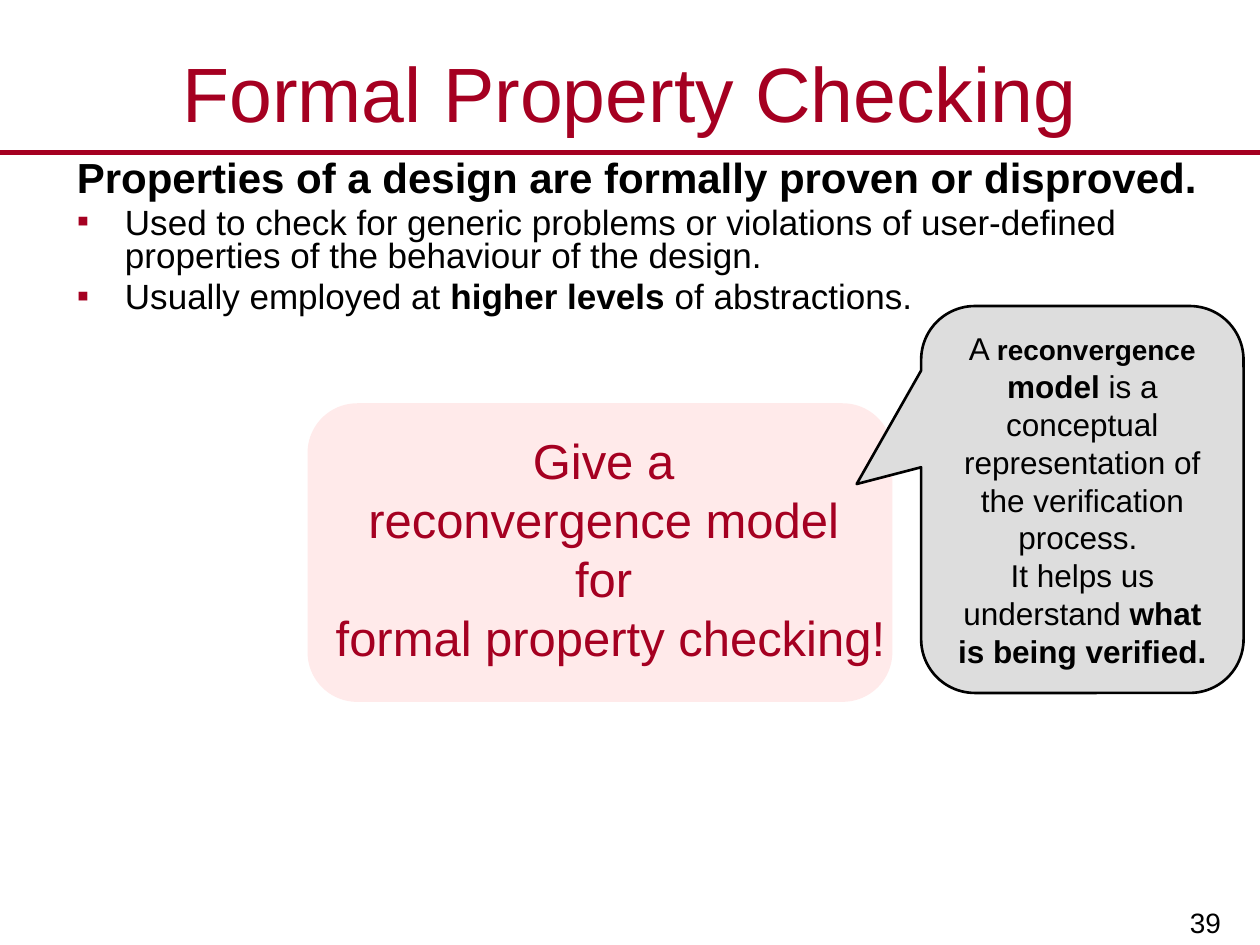
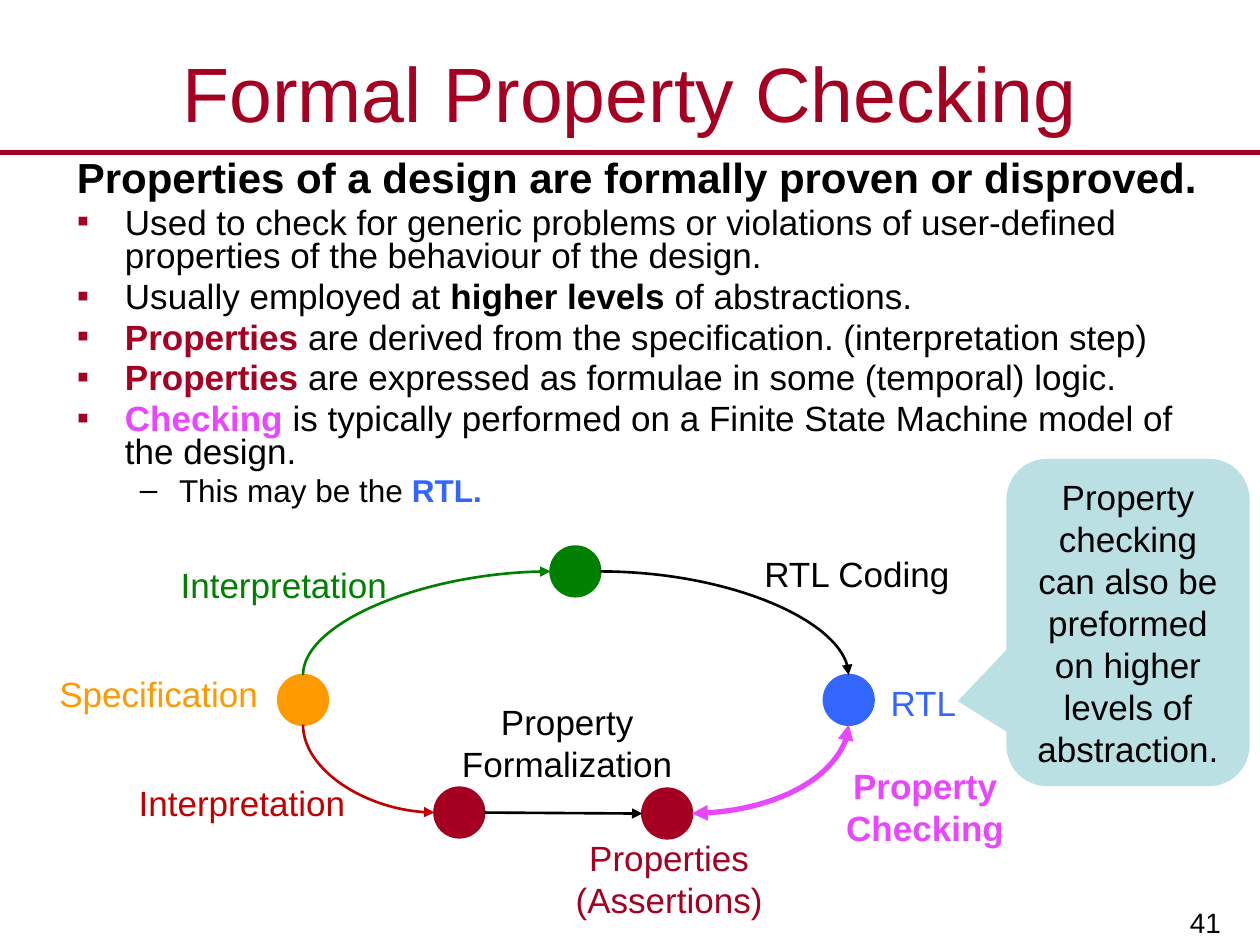
from lxml import etree
from pptx import Presentation
from pptx.dml.color import RGBColor
from pptx.enum.shapes import MSO_CONNECTOR, MSO_SHAPE
from pptx.enum.text import MSO_ANCHOR, PP_ALIGN
from pptx.oxml.ns import qn
from pptx.util import Cm, Pt

STRAIGHT, CURVE = MSO_CONNECTOR.STRAIGHT, MSO_CONNECTOR.CURVE
ELLIPSE, ROUNDED = MSO_SHAPE.OVAL, MSO_SHAPE.ROUNDED_RECTANGLE
CALLOUT = MSO_SHAPE.ROUNDED_RECTANGULAR_CALLOUT
LEFT, CENTER, RIGHT = PP_ALIGN.LEFT, PP_ALIGN.CENTER, PP_ALIGN.RIGHT
TOP, MIDDLE, BOTTOM = MSO_ANCHOR.TOP, MSO_ANCHOR.MIDDLE, MSO_ANCHOR.BOTTOM

FONT = "Arial"
BLACK = RGBColor(0x00, 0x00, 0x00)
CRIMSON = RGBColor(0xA5, 0x00, 0x21)
RED = RGBColor(0xC0, 0x00, 0x00)
PINK = RGBColor(0xFF, 0xCC, 0xCC)
GRAY = RGBColor(0xDD, 0xDD, 0xDD)
TEAL = RGBColor(0xBB, 0xE0, 0xE3)
MAGENTA = RGBColor(0xE8, 0x46, 0xFF)
BLUE = RGBColor(0x33, 0x66, 0xFF)
ORANGE = RGBColor(0xFF, 0x99, 0x00)
GREEN = RGBColor(0x00, 0x80, 0x00)


def add_box(slide, left, top, width, height, kind=None, fill=None, line=None, anchor=TOP):
    """Add a text box, or a preset shape when kind is given; lengths in cm."""
    place = Cm(left), Cm(top), Cm(width), Cm(height)
    if kind is None:
        shape = slide.shapes.add_textbox(*place)
    else:
        shape = slide.shapes.add_shape(kind, *place)
        shape.shadow.inherit = False
        shape.fill.solid()
        shape.fill.fore_color.rgb = fill
        if line is None:
            shape.line.fill.background()
        else:
            shape.line.color.rgb = line
            shape.line.width = Pt(1.5)
    shape.text_frame.word_wrap = True
    shape.text_frame.vertical_anchor = anchor
    return shape


def write(shape, *pieces, size=20, color=BLACK, bold=False, align=CENTER,
          bullet=None, bullet_color=BLACK, margin=0, hanging=0, spacing=None, before=0):
    """Add one paragraph; a piece is a text or a (text, run format) pair."""
    frame = shape.text_frame
    first = not frame.paragraphs[0].runs
    paragraph = frame.paragraphs[0] if first else frame.add_paragraph()
    if bullet:
        properties = paragraph._p.get_or_add_pPr()
        properties.set("marL", str(Cm(margin)))
        properties.set("indent", str(-Cm(hanging)))
        bullet_fill = etree.SubElement(properties, qn("a:buClr"))
        etree.SubElement(bullet_fill, qn("a:srgbClr"), val=str(bullet_color))
        etree.SubElement(properties, qn("a:buFont"), typeface=FONT)
        etree.SubElement(properties, qn("a:buChar"), char=bullet)
    paragraph.alignment = align
    paragraph.line_spacing = spacing
    paragraph.space_before = Pt(0 if first else before)
    for piece in pieces:
        text, own = (piece, {}) if isinstance(piece, str) else piece
        run = paragraph.add_run()
        run.text = text
        run.font.name = FONT
        run.font.size = Pt(own.get("size", size))
        run.font.bold = own.get("bold", bold)
        run.font.color.rgb = own.get("color", color)


presentation = Presentation()
presentation.slide_width, presentation.slide_height = Cm(25.4), Cm(19.05)

# Parts that both slides share
POINT = dict(size=20, bullet="▪", bullet_color=CRIMSON, margin=0.97, hanging=0.97, before=4)
SUBPOINT = dict(size=18, bullet="–", margin=2.06, hanging=0.79, before=3.6)
properties_word = ("Properties ", dict(color=CRIMSON, bold=True))
shared_points = [
    (["Used to check for generic problems or violations of user-defined "
      "properties of the behaviour of the design."], POINT),
    (["Usually employed at ", ("higher levels ", dict(bold=True)), "of abstractions."], POINT),
]
further_points = [
    ([properties_word, "are derived from the specification. (interpretation step)"], POINT),
    ([properties_word, "are expressed as formulae in some (temporal) logic."], POINT),
    ([("Checking ", dict(color=MAGENTA, bold=True)),
      "is typically performed on a Finite State Machine model of the design."], POINT),
    (["This may be the ", ("RTL.", dict(color=BLUE, bold=True))], SUBPOINT),
]

slides = []
for number, points, body_height in [("39", shared_points, 3.66),
                                    ("41", shared_points + further_points, 7.62)]:
    slide = presentation.slides.add_slide(presentation.slide_layouts[6])
    slides.append(slide)
    rule = slide.shapes.add_connector(STRAIGHT, 0, Cm(3.07), Cm(25.4), Cm(3.07))
    rule.line.color.rgb = CRIMSON
    rule.line.width = Pt(3)
    etree.SubElement(rule._element.spPr, qn("a:effectLst"))
    write(add_box(slide, 19.81, 17.6, 5.05, 1.45, anchor=BOTTOM), number, size=16, align=RIGHT)
    write(add_box(slide, 0, 0.76, 25.4, 2.18, anchor=MIDDLE),
          "Formal Property Checking", size=44, color=CRIMSON)
    body = add_box(slide, 1.3, 3.12, 23.42, body_height)
    write(body, "Properties of a design are formally proven or disproved.",
          size=24, bold=True, align=LEFT, spacing=0.8)
    for pieces, style in points:
        write(body, *pieces, align=LEFT, spacing=0.8, **style)

exercise_slide, model_slide = slides

# Exercise: task panel and hint
panel = add_box(exercise_slide, 6.2, 8.13, 11.79, 6.02, ROUNDED, PINK)
panel_color = panel.fill._xPr.find(".//" + qn("a:srgbClr"))
etree.SubElement(panel_color, qn("a:alpha"), val="41000")
task = add_box(exercise_slide, 6.07, 8.56, 12.47, 5.05)
for text in ["Give a ", "reconvergence model ", "for ", "formal property checking!"]:
    write(task, text, size=28, color=CRIMSON)

hint = add_box(exercise_slide, 18.57, 6.17, 6.5, 7.8, CALLOUT, GRAY, BLACK, MIDDLE)
hint.adjustments[0], hint.adjustments[1] = -0.7, -0.04
hint.text_frame.margin_left = hint.text_frame.margin_right = Cm(0.42)
write(hint, "A ", ("reconvergence", dict(size=16, bold=True)), (" model ", dict(bold=True)),
      "is a conceptual representation of the verification process. ", size=18)
write(hint, "It helps us understand ", ("what is being verified.", dict(bold=True)), size=18)

# Reconvergence model: nodes, labels and arcs
nodes = {}
for name, left, top, color in [
    ("specification", 5.61, 13.61, ORANGE),
    ("interpretation", 11.1, 11.02, GREEN),
    ("RTL", 16.61, 13.61, BLUE),
    ("formalization", 8.76, 15.88, CRIMSON),
    ("properties", 12.95, 15.9, CRIMSON),
]:
    nodes[name] = add_box(model_slide, left, top, 1, 1, ELLIPSE, color, color)

for text, left, top, width, height, style in [
    ("Specification", 0.61, 13.44, 5.18, 1.12, dict(color=ORANGE)),
    ("Interpretation", 3.02, 11.23, 5.41, 1.12, dict(color=GREEN)),
    ("Interpretation", 1.83, 15.62, 6.1, 1.12, dict(color=RED)),
    ("RTL Coding", 14.81, 11.02, 4.93, 1.12, {}),
    ("RTL", 17.6, 13.61, 2.03, 1.12, dict(color=BLUE)),
    ("Property Formalization", 8.97, 14, 4.93, 1.96, {}),
    ("Properties (Assertions)", 11.13, 16.74, 4.72, 1.96, dict(color=CRIMSON)),
    ("Property Checking", 16.21, 15.29, 4.88, 1.96, dict(color=MAGENTA, bold=True)),
]:
    write(add_box(model_slide, left, top, width, height), text, **style)

# Connection site of an ellipse and its place as fractions of width and height
SITES = {"top": (0, 0.5, 0), "left": (2, 0, 0.5), "bottom": (4, 0.5, 1), "right": (6, 1, 0.5)}
for kind, start, start_side, end, end_side, color, weight, arrowheads in [
    (CURVE, "interpretation", "left", "specification", "top", GREEN, 1.5, ["headEnd"]),
    (CURVE, "interpretation", "right", "RTL", "top", BLACK, 1.5, ["tailEnd"]),
    (CURVE, "formalization", "left", "specification", "bottom", RED, 1.5, ["headEnd"]),
    (STRAIGHT, "formalization", "right", "properties", "left", BLACK, 1.5, ["tailEnd"]),
    (CURVE, "properties", "right", "RTL", "bottom", MAGENTA, 3, ["headEnd", "tailEnd"]),
]:
    ends = []
    for name, side in [(start, start_side), (end, end_side)]:
        node = nodes[name]
        site, across, down = SITES[side]
        ends += [int(node.left + across * node.width), int(node.top + down * node.height)]
    arc = model_slide.shapes.add_connector(kind, *ends)
    if kind == CURVE:
        arc._element.spPr.find(qn("a:prstGeom")).set("prst", "curvedConnector2")
    joints = arc._element.nvCxnSpPr.cNvCxnSpPr
    for tag, name, side in [("a:stCxn", start, start_side), ("a:endCxn", end, end_side)]:
        etree.SubElement(joints, qn(tag), id=str(nodes[name].shape_id), idx=str(SITES[side][0]))
    arc.line.color.rgb = color
    arc.line.width = Pt(weight)
    for tag in arrowheads:
        etree.SubElement(arc.line._get_or_add_ln(), qn("a:" + tag), type="triangle")
    etree.SubElement(arc._element.spPr, qn("a:effectLst"))

remark = add_box(model_slide, 20.29, 9.25, 4.9, 6.6, CALLOUT, TEAL, anchor=MIDDLE)
remark.adjustments[0], remark.adjustments[1] = -0.7, 0.24
write(remark, "Property checking can also be preformed on higher levels of abstraction.")

presentation.save("out.pptx")
